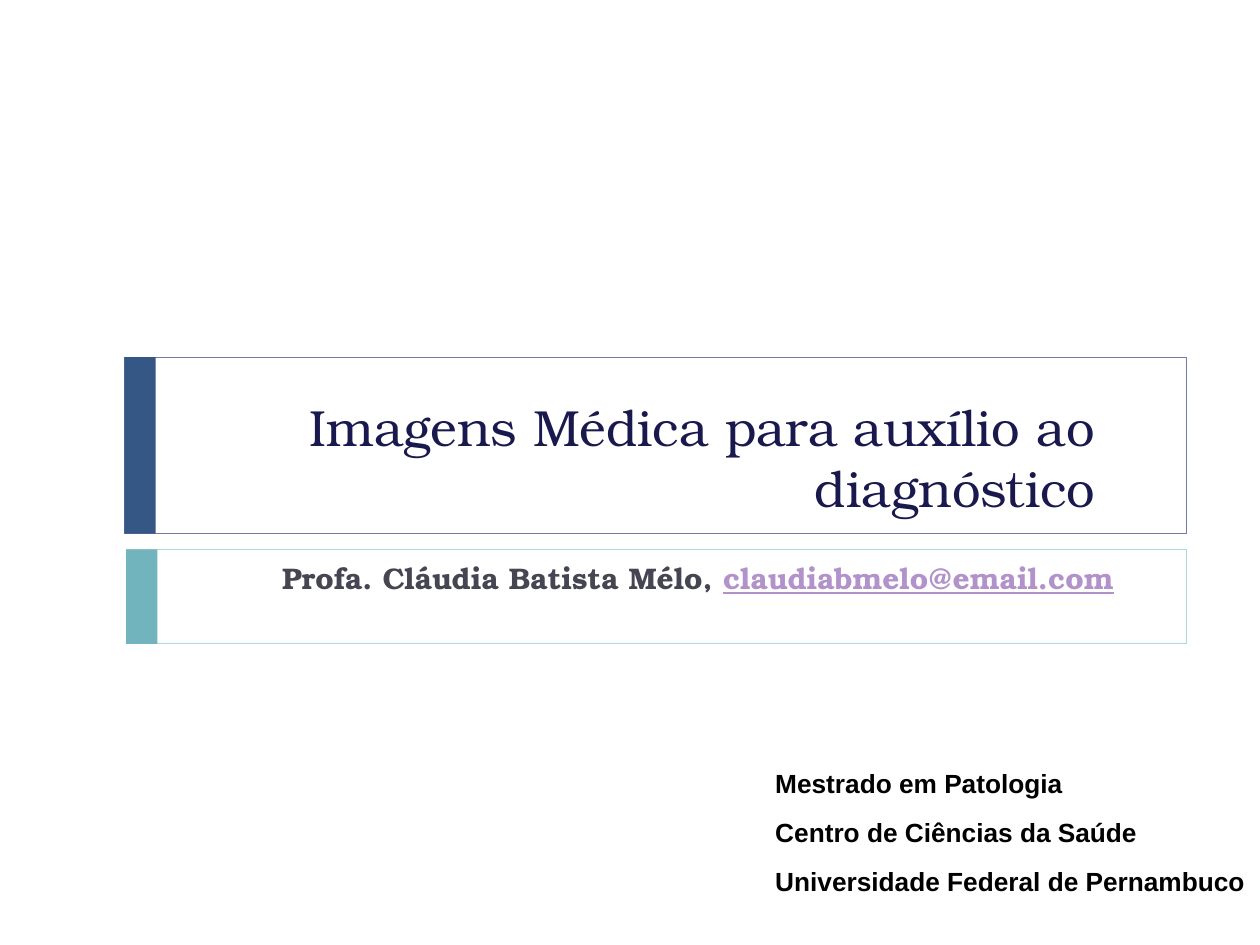
from dataclasses import dataclass

from pptx import Presentation
from pptx.dml.color import RGBColor
from pptx.enum.shapes import MSO_SHAPE
from pptx.enum.text import MSO_ANCHOR, PP_ALIGN
from pptx.util import Pt

RECTANGLE = MSO_SHAPE.RECTANGLE
TOP = MSO_ANCHOR.TOP
LEFT, RIGHT = PP_ALIGN.LEFT, PP_ALIGN.RIGHT
TITLE_ONLY = 5


@dataclass(frozen=True)
class Theme:
    title_font: str = "TeX Gyre Bonum"
    body_font: str = "Arial"
    title_size: int = 29
    author_size: int = 17
    affiliation_size: int = 15
    title_color: str = "19194D"
    author_color: str = "464653"
    email_color: str = "B292CA"
    affiliation_color: str = "000000"
    title_frame: str = "727CA3"
    title_bar: str = "345786"
    author_frame: str = "AADAD8"
    author_bar: str = "72B4BD"


THEME = Theme()


def set_attributes(target, values):
    for name, value in values.items():
        setattr(target, name, value)


def font_format(name, size, color, **styles):
    return {"name": name, "size": Pt(size), "color": color, **styles}


def add_run(paragraph, text, values):
    font = paragraph.add_run().font
    paragraph.runs[-1].text = text
    set_attributes(font, {key: value for key, value in values.items() if key != "color"})
    font.color.rgb = RGBColor.from_string(values["color"])


def set_frame(text_frame, margins, wrap=True):
    left, top, right, bottom = map(Pt, margins)
    set_attributes(text_frame, {
        "margin_left": left, "margin_top": top,
        "margin_right": right, "margin_bottom": bottom,
        "vertical_anchor": TOP, "word_wrap": wrap,
    })


def add_banner(slide, box, frame_color, bar_color):
    """Draw an outlined box with a solid bar along its left edge."""
    left, top, width, height = box
    frame, bar = (
        slide.shapes.add_shape(RECTANGLE, Pt(left), Pt(top), Pt(part_width), Pt(height))
        for part_width in (width, 18)
    )
    frame.fill.background()
    frame.line.color.rgb = RGBColor.from_string(frame_color)
    frame.line.width = Pt(0.5)
    bar.fill.solid()
    bar.fill.fore_color.rgb = RGBColor.from_string(bar_color)
    bar.line.fill.background()
    for shape in (frame, bar):
        shape.shadow.inherit = False


def place_title(slide, box):
    left, top, width, height = map(Pt, box)
    title = slide.shapes.title
    set_attributes(title, {"left": left, "top": top, "width": width, "height": height})
    set_frame(title.text_frame, (7.2, 3.6, 10, 3.6))
    paragraph = title.text_frame.paragraphs[0]
    paragraph.alignment = RIGHT
    add_run(paragraph, "Imagens Médica para auxílio ao diagnóstico",
            font_format(THEME.title_font, THEME.title_size, THEME.title_color))


def add_author(slide, box):
    text_frame = slide.shapes.add_textbox(*map(Pt, box)).text_frame
    set_frame(text_frame, (7.2, 3.6, 10, 3.6))
    paragraph = text_frame.paragraphs[0]
    set_attributes(paragraph, {"alignment": RIGHT, "line_spacing": 0.8})
    add_run(paragraph, "Profa. Cláudia Batista Mélo, ",
            font_format(THEME.title_font, THEME.author_size, THEME.author_color, bold=True))
    add_run(paragraph, "claudiabmelo@email.com",
            font_format(THEME.title_font, THEME.author_size, THEME.email_color,
                        bold=True, underline=True))


def add_affiliation(slide, box):
    text_frame = slide.shapes.add_textbox(*map(Pt, box)).text_frame
    set_frame(text_frame, (3, 0, 3, 0), wrap=False)
    lines = (
        "Mestrado em Patologia",
        "Centro de Ciências da Saúde",
        "Universidade Federal de Pernambuco",
    )
    for index, line in enumerate(lines):
        paragraph = text_frame.add_paragraph() if index else text_frame.paragraphs[0]
        set_attributes(paragraph, {"alignment": LEFT, "space_before": Pt(10 if index else 0)})
        add_run(paragraph, line,
                font_format(THEME.body_font, THEME.affiliation_size,
                            THEME.affiliation_color, bold=True))


def main():
    presentation = Presentation()
    set_attributes(presentation, {"slide_width": Pt(720), "slide_height": Pt(540)})
    slide = presentation.slides.add_slide(presentation.slide_layouts[TITLE_ONLY])
    add_banner(slide, (71, 204, 607, 101), THEME.title_frame, THEME.title_bar)
    add_banner(slide, (72, 314, 606, 54), THEME.author_frame, THEME.author_bar)
    add_affiliation(slide, (440, 438.5, 275, 73))
    place_title(slide, (96, 222.5, 540, 77))
    add_author(slide, (106.5, 320.5, 540, 177))
    presentation.save("out.pptx")


if __name__ == "__main__":
    main()
